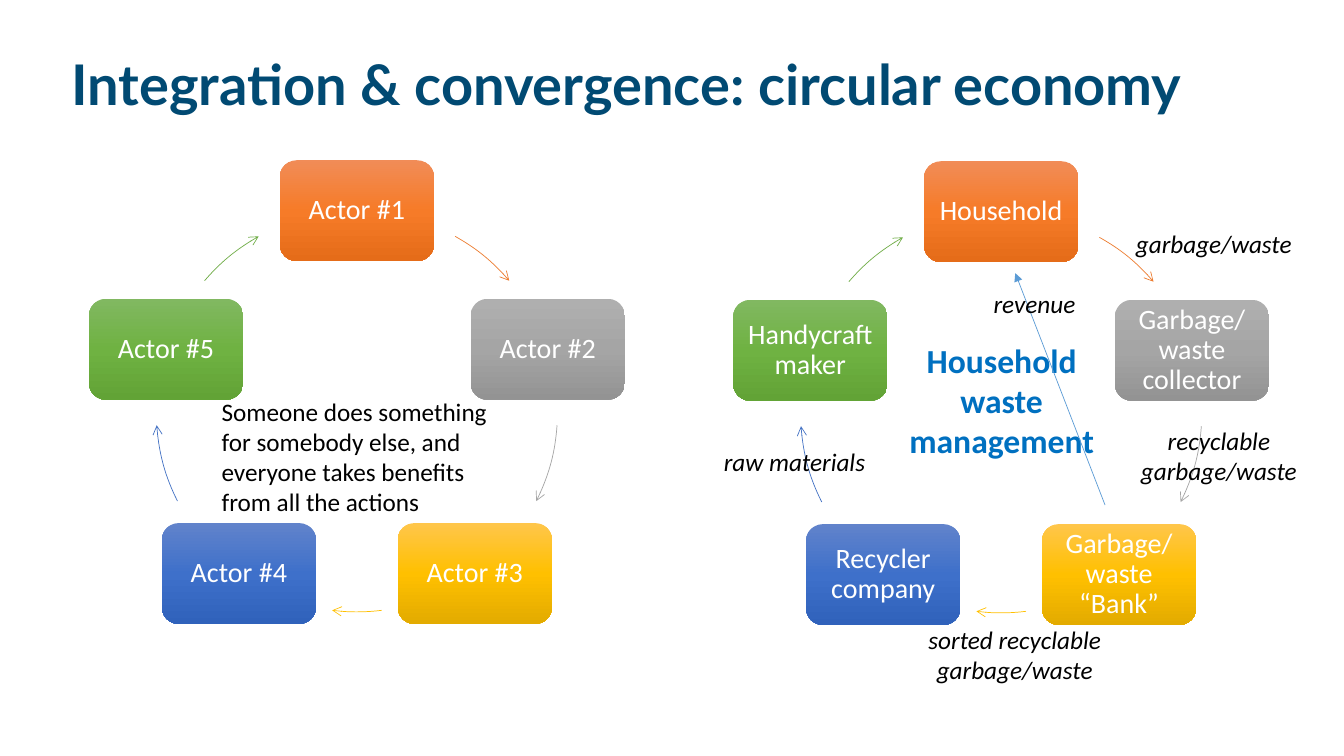
from copy import deepcopy
from math import cos, radians, sin
from lxml import etree
from pptx import Presentation
from pptx.dml.color import RGBColor
from pptx.enum.shapes import MSO_CONNECTOR, MSO_SHAPE
from pptx.enum.text import MSO_ANCHOR, PP_ALIGN
from pptx.oxml.ns import qn
from pptx.util import Inches, Pt

ROUND, ARC = MSO_SHAPE.ROUNDED_RECTANGLE, MSO_SHAPE.ARC
STRAIGHT = MSO_CONNECTOR.STRAIGHT
MIDDLE = MSO_ANCHOR.MIDDLE
LEFT, CENTER = PP_ALIGN.LEFT, PP_ALIGN.CENTER

TITLE = "Integration & convergence: circular economy"
RINGS = [
    {
        "center": (3.54, 4.08),
        "actors": ["Actor #1", "Actor #2", "Actor #3", "Actor #4", "Actor #5"],
    },
    {
        "center": (9.93, 4.09),
        "actors": ["Household", "Garbage/ waste collector", "Garbage/ waste “Bank”",
                   "Recycler company", "Handycraft maker"],
    },
]
GRADS = [
    ("F18C57", "F67B28", "E56C19"),
    ("AFAFAF", "A5A5A5", "939393"),
    ("FFC64B", "FFC000", "E3AB00"),
    ("6183CB", "3E70CA", "3062BB"),
    ("81B861", "6FB242", "62A336"),
]
ARCS = [
    ("ED7D31", 299.3, 319.4),
    ("A5A5A5", 4, 26.6),
    ("FFC000", 82.9, 97.1),
    ("4472C4", 153.4, 176),
    ("70AD47", 220.6, 240.7),
]
NOTE = ["Someone does something",
        "for somebody else, and everyone takes benefits",
        "from all the actions"]
TOPIC = ["Household", "waste", "management"]
FLOWS = [
    (["garbage/waste"], (11.16, 2.22, 1.76, 0.4)),
    (["recyclable", "garbage/waste"], (11.21, 4.17, 1.76, 0.71)),
    (["sorted recyclable", "garbage/waste"], (9.1, 6.14, 1.93, 0.71)),
    (["raw materials"], (7.07, 4.38, 1.62, 0.4)),
    (["revenue"], (9.75, 2.81, 1.02, 0.4)),
]
RADIUS, WIDE, HIGH = 1.99, 1.53, 1.0
DEGREE = 0.6


def color(code):
    return RGBColor.from_string(code)


def spot(center, angle):
    turn = radians(angle)
    return center[0] + RADIUS * cos(turn), center[1] + RADIUS * sin(turn)


def style(para, size, code, align, font="Calibri"):
    para.alignment = align
    para.font.name = font
    para.font.size = Pt(size)
    para.font.color.rgb = color(code)


def stroke(shape, code, head):
    shape.line.color.rgb = color(code)
    shape.line.width = Pt(0.5)
    line = shape.line._get_or_add_ln()
    etree.SubElement(line, qn("a:tailEnd"), type=head)


def shade(shape, codes):
    shape.fill.gradient()
    shape.fill.gradient_angle = 270
    stops = shape._element.spPr.find(qn("a:gradFill")).find(qn("a:gsLst"))
    stops.insert(1, deepcopy(stops[0]))
    for stop, code, place in zip(shape.fill.gradient_stops, codes, (0, 0.5, 1)):
        stop.color.rgb = color(code)
        stop.position = place


def add_mid(parts, kind, center, wide, high):
    x, y = center
    shape = parts.add_shape(kind, Inches(x - wide / 2), Inches(y - high / 2),
                            Inches(wide), Inches(high))
    shape.shadow.inherit = False
    return shape


def add_actor(parts, name, center, codes):
    box = add_mid(parts, ROUND, center, WIDE, HIGH)
    box.line.fill.background()
    shade(box, codes)
    frame = box.text_frame
    frame.word_wrap = True
    frame.vertical_anchor = MIDDLE
    frame.margin_left = frame.margin_right = Inches(0.08)
    frame.margin_top = frame.margin_bottom = Inches(0.03)
    para = frame.paragraphs[0]
    para.text = name
    para.line_spacing = 0.9
    style(para, 20, "FFFFFF", CENTER)


def add_arc(parts, center, code, start, end):
    arc = add_mid(parts, ARC, center, 2 * RADIUS, 2 * RADIUS)
    arc.adjustments[0] = start * DEGREE
    arc.adjustments[1] = end * DEGREE
    arc.fill.background()
    stroke(arc, code, "arrow")


def add_label(parts, lines, place, size=18, code="000000", align=CENTER,
              wrap=False, bold=False, italic=False):
    frame = parts.add_textbox(*map(Inches, place)).text_frame
    frame.word_wrap = wrap
    for i, line in enumerate(lines):
        para = frame.add_paragraph() if i else frame.paragraphs[0]
        para.text = line
        style(para, size, code, align)
        para.font.bold = bold
        para.font.italic = italic


def add_ring(slide, center, actors):
    parts = slide.shapes.add_group_shape().shapes
    for i, (name, codes, arc) in enumerate(zip(actors, GRADS, ARCS)):
        add_actor(parts, name, spot(center, 72 * i - 90), codes)
        add_arc(parts, center, *arc)
    return parts


def main():
    deck = Presentation()
    deck.slide_width, deck.slide_height = Inches(13.33), Inches(7.5)
    slide = deck.slides.add_slide(deck.slide_layouts[5])

    title = slide.shapes.title
    title.left, title.top = Inches(0.61), Inches(0.25)
    title.width, title.height = Inches(12.2), Inches(1.24)
    title.text_frame.vertical_anchor = MIDDLE
    para = title.text_frame.paragraphs[0]
    para.text = TITLE
    para.line_spacing = 0.9
    style(para, 40, "014A73", LEFT, "Lato")
    para.font.bold = True

    basic, waste = [add_ring(slide, **ring) for ring in RINGS]
    add_label(basic, NOTE, (2.1, 3.88, 2.97, 1.31), align=LEFT, wrap=True)
    add_label(waste, TOPIC, (8.91, 3.32, 2.05, 1.31), 24, "0070C0", bold=True)
    money = waste.add_connector(STRAIGHT, *map(Inches, (10.96, 5.01, 10.07, 2.71)))
    stroke(money, "5B9BD5", "triangle")
    etree.SubElement(money._element.spPr, qn("a:effectLst"))
    for lines, place in FLOWS:
        add_label(waste, lines, place, italic=True)

    deck.save("out.pptx")


if __name__ == "__main__":
    main()
